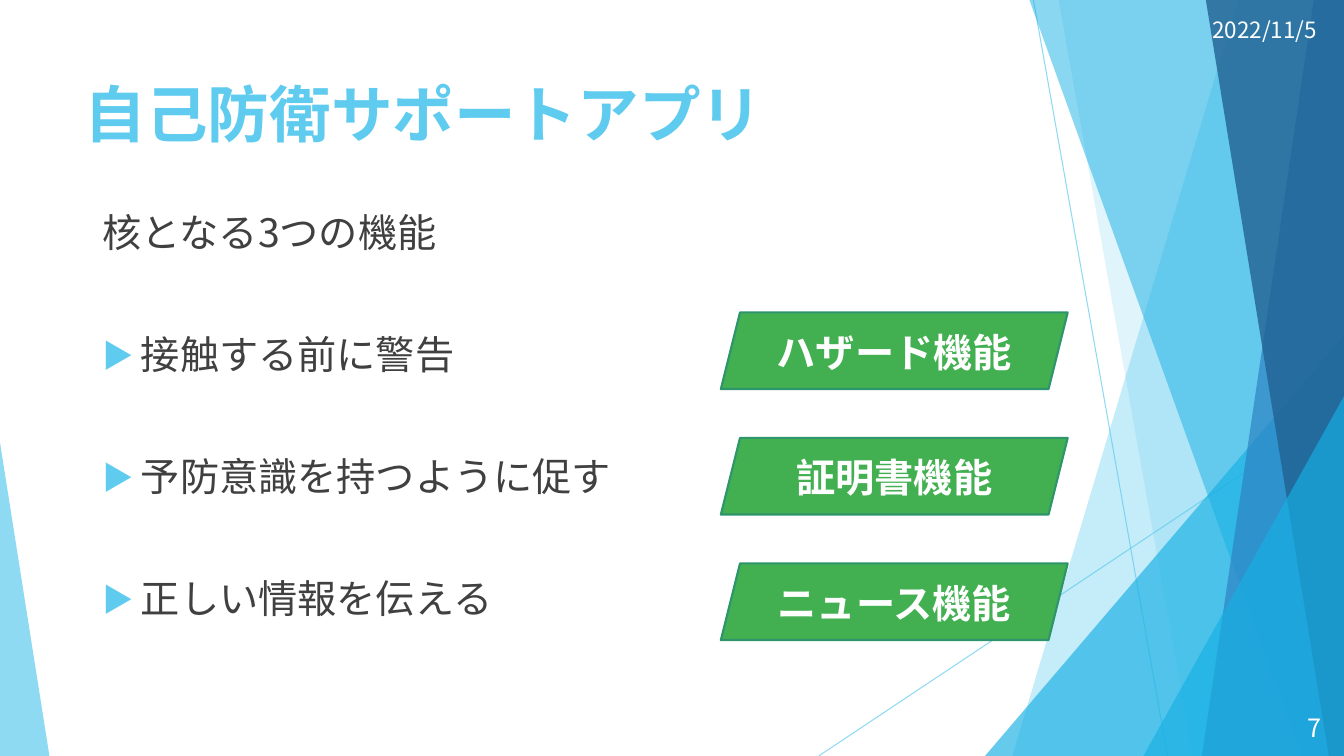
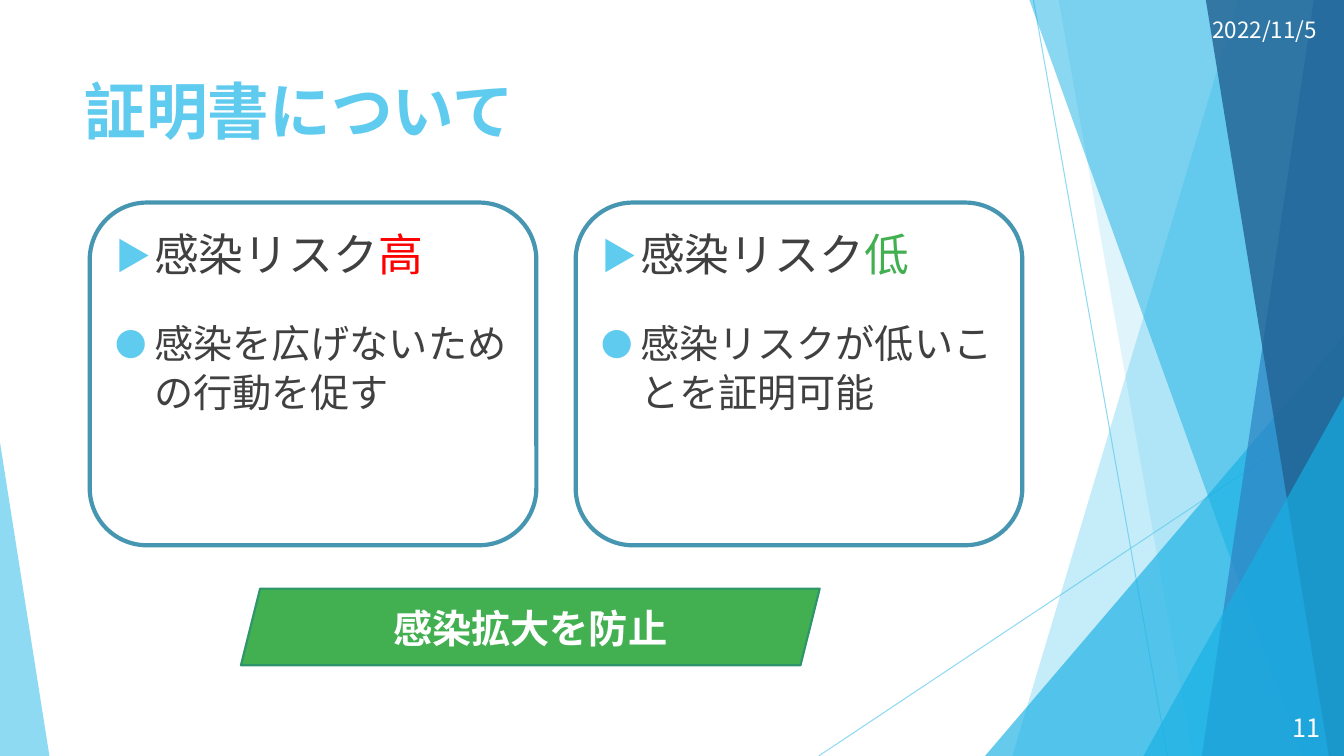
from dataclasses import dataclass

from lxml import etree
from pptx import Presentation
from pptx import util as u
from pptx.dml.color import RGBColor
from pptx.enum import shapes, text
from pptx.oxml.ns import qn


@dataclass(frozen=True)
class Theme:
    """Colours, fonts and type sizes shared by the deck."""
    sky: str = "5FCBEF"
    azure: str = "17B0E4"
    blue: str = "2E83C3"
    navy: str = "226292"
    card: str = "4696B1"
    green: str = "42B051"
    green_edge: str = "2E946B"
    red: str = "FF0000"
    ink: str = "404040"
    white: str = "FFFFFF"
    font: str = "Noto Sans CJK JP"
    label_font: str = "Cabin"
    title: int = 44
    heading: int = 32
    body: int = 28
    number: int = 18
    date: int = 16
    leading: float = 1.25


THEME = Theme()
WIDTH, HEIGHT = 13.33, 7.5
SHAPE = shapes.MSO_SHAPE
ALIGN = text.PP_ALIGN
ANCHOR = text.MSO_ANCHOR


def place(item, left, top, width, height):
    """Give an item its position and size in inches."""
    item.left, item.top = u.Inches(left), u.Inches(top)
    item.width, item.height = u.Inches(width), u.Inches(height)


def add_bullet(para, mark):
    """Hang a coloured bullet in front of a paragraph."""
    props = para._p.get_or_add_pPr()
    props.set("marL", str(u.Inches(0.38)))
    props.set("indent", str(-u.Inches(0.38)))
    colour = etree.SubElement(props, qn("a:buClr"))
    etree.SubElement(colour, qn("a:srgbClr"), val=THEME.sky)
    etree.SubElement(props, qn("a:buSzPct"), val="80000")
    etree.SubElement(props, qn("a:buFont"), typeface=THEME.font)
    etree.SubElement(props, qn("a:buChar"), char=mark)


def add_span(para, wording, size, colour, font, bold):
    """Add one formatted run to a paragraph."""
    span = para.add_run()
    span.text = wording
    span.font.size, span.font.bold, span.font.name = u.Pt(size), bold, font
    span.font.color.rgb = RGBColor.from_string(colour)
    latin = span._r.rPr.find(qn("a:latin"))
    latin.addnext(etree.Element(qn("a:ea"), typeface=THEME.font))


def write(box, wording, size=THEME.body, colour=THEME.ink, font=THEME.font,
          bold=False, align=ALIGN.LEFT, anchor=ANCHOR.TOP, bullet=None,
          before=0, accent=None, more=False):
    """Write a paragraph into a box, with an optional accented ending."""
    frame = box.text_frame
    frame.word_wrap = True
    frame.auto_size = text.MSO_AUTO_SIZE.NONE
    frame.vertical_anchor = anchor
    para = frame.add_paragraph() if more else frame.paragraphs[0]
    para.alignment = align
    para.line_spacing = u.Pt(size * THEME.leading)
    para.space_before = u.Pt(before)
    if bullet:
        add_bullet(para, bullet)
    add_span(para, wording, size, colour, font, bold)
    if accent:
        add_span(para, *accent[:1], size, accent[1], font, bold)


def add_text(page, area, wording, **style):
    """Add a text box holding one paragraph."""
    box = page.shapes.add_textbox(*map(u.Inches, area))
    write(box, wording, **style)
    return box


def fade(shape, percent):
    """Make the colours of a shape partly transparent."""
    for colour in shape.element.spPr.iter(qn("a:srgbClr")):
        etree.SubElement(colour, qn("a:alpha"), val=str(percent * 1000))


def paint(shape, colour=None, edge=None, weight=1.5):
    """Set the fill and outline of a shape without a shadow."""
    shape.shadow.inherit = False
    if colour:
        shape.fill.solid()
        shape.fill.fore_color.rgb = RGBColor.from_string(colour)
    else:
        shape.fill.background()
    if edge:
        shape.line.color.rgb = RGBColor.from_string(edge)
        shape.line.width = u.Pt(weight)
    else:
        shape.line.fill.background()


def add_ray(page, start, end):
    """Draw a thin translucent line."""
    ray = page.shapes.add_connector(
        shapes.MSO_CONNECTOR.STRAIGHT, *map(u.Inches, start + end))
    ray.line.color.rgb = RGBColor.from_string(THEME.sky)
    ray.line.width = u.Pt(0.75)
    etree.SubElement(ray.element.spPr, qn("a:effectLst"))
    fade(ray, 70)


def add_band(page, top_x, bottom_x, colour, percent):
    """Fill from a slanted left edge to the right side of the page."""
    corners = [(top_x, 0), (WIDTH, 0), (WIDTH, HEIGHT), (bottom_x, HEIGHT)]
    points = [tuple(map(u.Inches, corner)) for corner in corners]
    builder = page.shapes.build_freeform(*points[0])
    builder.add_line_segments(points[1:], close=True)
    band = builder.convert_to_shape()
    paint(band, colour)
    fade(band, percent)


def add_corner(page, left, top, width, apex, colour, percent):
    """Draw a right triangle standing on the bottom edge."""
    area = (left, top, width, HEIGHT - top)
    corner = page.shapes.add_shape(SHAPE.ISOSCELES_TRIANGLE,
                                   *map(u.Inches, area))
    corner.adjustments[0] = apex
    paint(corner, colour)
    fade(corner, percent)


def add_backdrop(page):
    """Draw the facets and move them to the layout of the page."""
    kept = list(page.shapes)
    add_ray(page, (10.25, 0), (11.58, HEIGHT))
    add_ray(page, (WIDTH, 4.03), (8.12, HEIGHT))
    add_band(page, 12.28, 10.04, THEME.sky, 36)
    add_band(page, 10.5, 11.83, THEME.sky, 20)
    add_corner(page, 9.77, 3.33, 3.56, 1, THEME.azure, 66)
    add_band(page, 10.21, 12.91, THEME.azure, 50)
    add_band(page, 13.03, 11.92, THEME.blue, 70)
    add_band(page, 11.96, 13.18, THEME.navy, 80)
    add_corner(page, 11.34, 3.93, 1.99, 1, THEME.azure, 66)
    add_corner(page, 0, 4.39, 0.49, 0, THEME.sky, 70)
    for facet in list(page.shapes)[len(kept):]:
        page.slide_layout.shapes.element.append(facet.element)


def add_page(deck, title, number, title_top):
    """Start a page with its title, date and page number."""
    page = deck.slides.add_slide(deck.slide_layouts[5])
    place(page.shapes.title, 0.74, title_top, 9.4, 1.44)
    write(page.shapes.title, title, size=THEME.title, colour=THEME.sky,
          bold=True)
    corner = dict(colour=THEME.white, align=ALIGN.RIGHT, anchor=ANCHOR.MIDDLE)
    add_text(page, (11.84, 0.09, 1.32, 0.4), "2022/11/5",
             size=THEME.date, **corner)
    add_text(page, (12.38, 7.01, 0.82, 0.4), number,
             size=THEME.number, **corner)
    return page


def add_label(page, left, top, width, wording):
    """Add a green slanted label."""
    area = (left, top, width, 0.76)
    label = page.shapes.add_shape(SHAPE.PARALLELOGRAM, *map(u.Inches, area))
    paint(label, THEME.green, THEME.green_edge)
    write(label, wording, colour=THEME.white, font=THEME.label_font,
          bold=True, align=ALIGN.CENTER, anchor=ANCHOR.MIDDLE)


def add_risk_card(page, left, top, level, colour, detail):
    """Add a rounded card with a risk level and its consequence."""
    area = (left, top, 4.43, 3.4)
    card = page.shapes.add_shape(SHAPE.ROUNDED_RECTANGLE,
                                 *map(u.Inches, area))
    paint(card, edge=THEME.card, weight=3)
    add_text(page, (left + 0.16, top + 0.17, 4.27, 0.74), "感染リスク",
             size=THEME.heading, bullet="▶", accent=(level, colour))
    add_text(page, (left + 0.16, top + 1.09, 4.27, 2.17), detail, bullet="●")


def build_features(deck):
    """Build the page of the three core features."""
    page = add_page(deck, "自己防衛サポートアプリ", "7", 0.67)
    add_backdrop(page)
    features = [("接触する前に警告", "ハザード機能"),
                ("予防意識を持つように促す", "証明書機能"),
                ("正しい情報を伝える", "ニュース機能")]
    box = add_text(page, (0.92, 2, 5.75, 4.76), "核となる3つの機能")
    for row, (aim, feature) in enumerate(features):
        write(box, aim, bullet="▶", before=52, more=True)
        add_label(page, 7.15, 3.1 + 1.245 * row, 3.44, feature)


def build_certificate(deck):
    """Build the page that compares the two risk levels."""
    page = add_page(deck, "証明書について", "11", 0.64)
    risks = [("高", THEME.red, "感染を広げないための行動を促す"),
             ("低", THEME.green, "感染リスクが低いことを証明可能")]
    for column, risk in enumerate(risks):
        add_risk_card(page, 0.89 + 4.82 * column, 2.01, *risk)
    add_label(page, 2.39, 5.84, 5.74, "感染拡大を防止")


def main():
    """Build and save the deck."""
    deck = Presentation()
    deck.slide_width, deck.slide_height = u.Inches(WIDTH), u.Inches(HEIGHT)
    build_features(deck)
    build_certificate(deck)
    deck.save("out.pptx")


if __name__ == "__main__":
    main()
